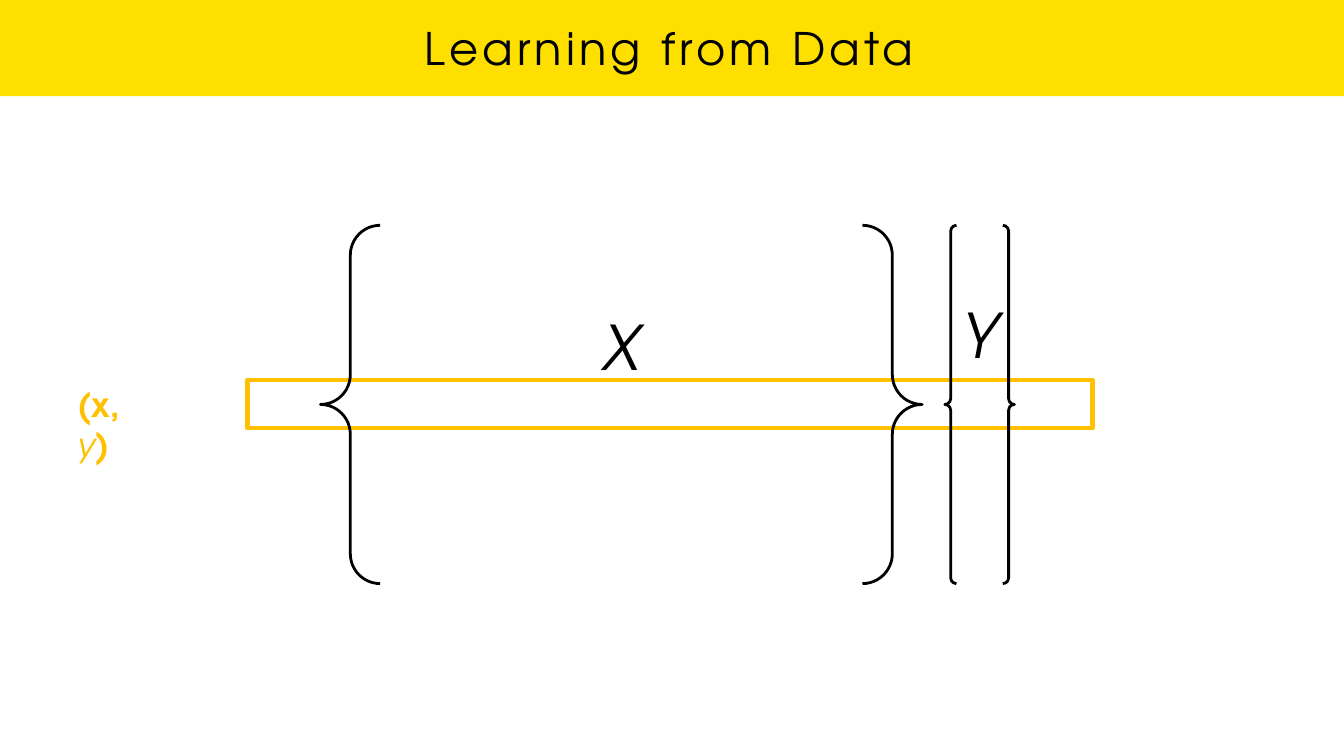
from pptx import Presentation
from pptx.dml.color import RGBColor
from pptx.enum.shapes import MSO_SHAPE as SHAPE
from pptx.enum.text import MSO_ANCHOR as ANCHOR, PP_ALIGN as ALIGN
from pptx.util import Inches, Pt

FONT = "TeX Gyre Adventor"
YELLOW = RGBColor(0xFF, 0xDF, 0x00)
AMBER = RGBColor(0xFF, 0xC0, 0x00)
BLACK = RGBColor(0x00, 0x00, 0x00)

MATRIX_TOP, MATRIX_HEIGHT = 4.47, 7.11
NAME_RAISE = 1.46  # lifts the matrix names clear of the sample row


def add_outline(slide, kind, box, color, width):
    outline = slide.shapes.add_shape(kind, *map(Inches, box))
    outline.shadow.inherit = False
    outline.fill.background()
    outline.line.color.rgb = color
    outline.line.width = Pt(width)
    return outline


def add_label(slide, box):
    label = slide.shapes.add_textbox(*map(Inches, box))
    label.text_frame.word_wrap = True
    return label.text_frame


def add_run(paragraph, text, size, color, bold=False, italic=False):
    run = paragraph.add_run()
    run.text = text
    font = run.font
    font.name, font.size = FONT, Pt(size)
    font.bold, font.italic = bold, italic
    font.color.rgb = color
    return run


def add_title_band(slide, title):
    band = slide.shapes.add_shape(
        SHAPE.RECTANGLE, *map(Inches, (-0.01, 0, 26.69, 1.91)))
    band.shadow.inherit = False
    band.fill.solid()
    band.fill.fore_color.rgb = YELLOW
    band.line.fill.background()

    frame = add_label(slide, (0.6, -0.03, 25.36, 1.93))
    frame.vertical_anchor = ANCHOR.MIDDLE
    paragraph = frame.paragraphs[0]
    paragraph.alignment = ALIGN.CENTER
    run = add_run(paragraph, title, 64, BLACK)
    run._r.get_or_add_rPr().set("spc", "600")  # letter spacing of 6 pt


def add_matrix(slide, name, left, width):
    """Draw a brace pair with its name raised above the middle."""
    matrix = add_outline(slide, SHAPE.DOUBLE_BRACE,
                         (left, MATRIX_TOP, width, MATRIX_HEIGHT), BLACK, 4)
    frame = matrix.text_frame
    frame.vertical_anchor = ANCHOR.MIDDLE
    frame.margin_bottom = frame.margin_top + Inches(2 * NAME_RAISE)
    paragraph = frame.paragraphs[0]
    paragraph.alignment = ALIGN.CENTER
    add_run(paragraph, name, 88, BLACK, italic=True)


def add_sample_label(slide):
    frame = add_label(slide, (1.44, 7.57, 1.85, 0.91))
    frame.margin_right = Inches(0.85)  # keeps x and y on separate lines
    paragraph = frame.paragraphs[0]
    add_run(paragraph, "(x, ", 48, AMBER, bold=True)
    add_run(paragraph, "y", 48, AMBER, italic=True)
    add_run(paragraph, ")", 48, AMBER, bold=True)


def main():
    prs = Presentation()
    prs.slide_width, prs.slide_height = Inches(26.67), Inches(15)
    slide = prs.slides.add_slide(prs.slide_layouts[6])

    add_title_band(slide, "Learning from Data")

    # One sample: a row across both matrices
    add_outline(slide, SHAPE.RECTANGLE, (4.91, 7.54, 16.77, 0.96), AMBER, 6)
    add_sample_label(slide)

    # Inputs and targets
    add_matrix(slide, "X", 6.36, 11.94)
    add_matrix(slide, "Y", 18.75, 1.38)

    prs.save("out.pptx")


if __name__ == "__main__":
    main()
